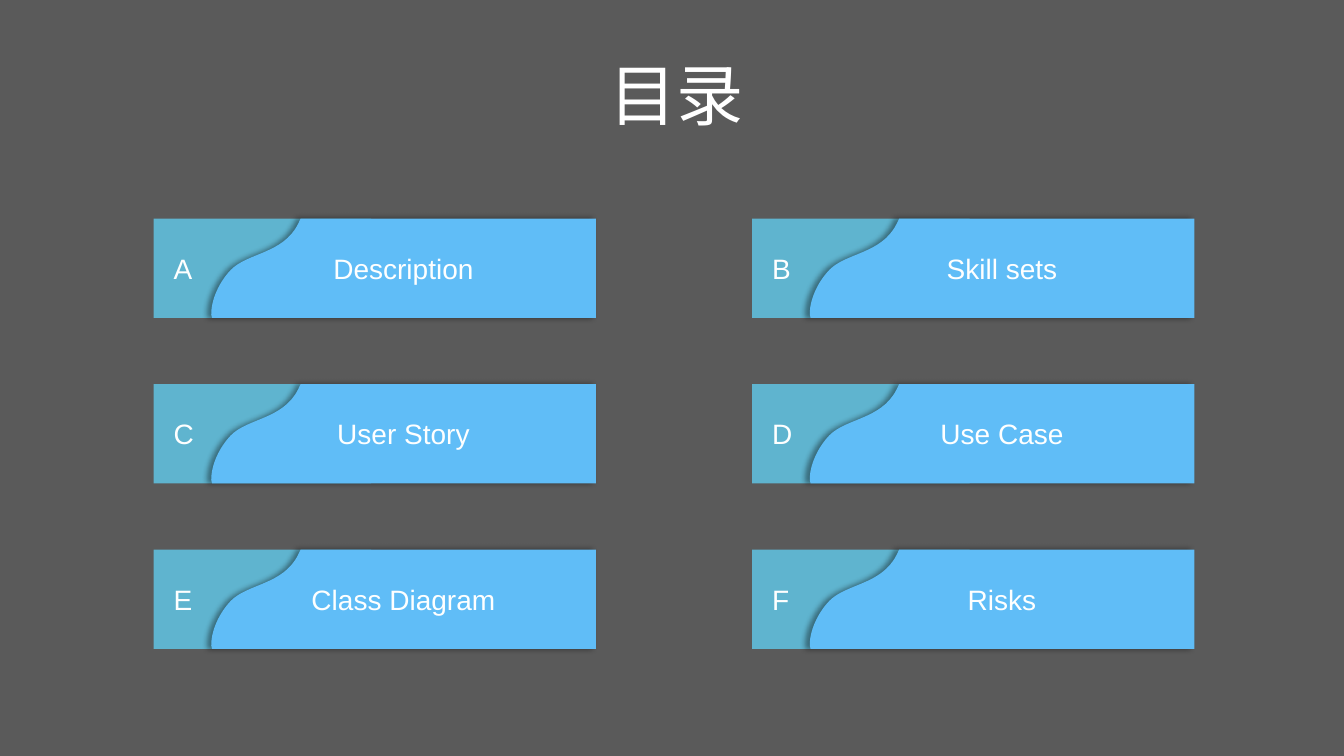
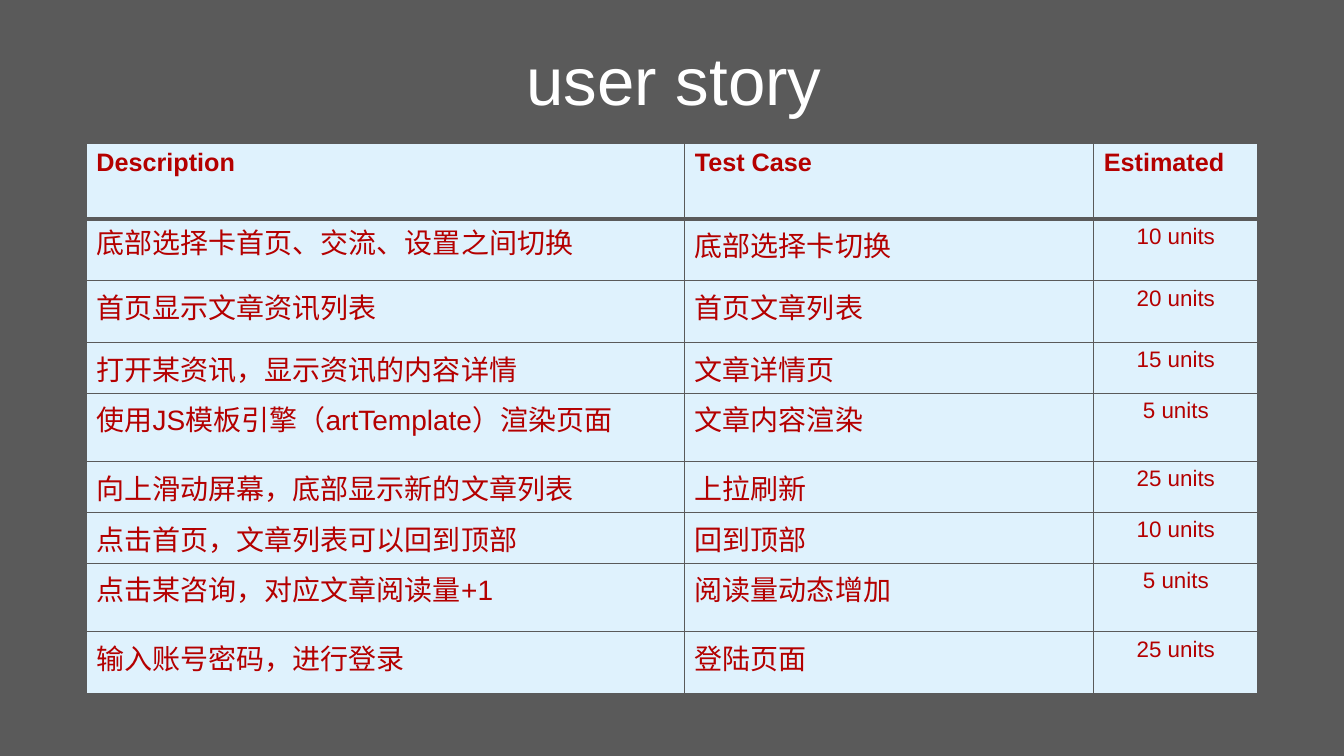
import lxml.etree
import pptx
import pptx.dml.color
import pptx.enum.shapes
import pptx.enum.text
import pptx.oxml.ns
import pptx.util

Pt = pptx.util.Pt
RGBColor = pptx.dml.color.RGBColor
ALIGN = pptx.enum.text.PP_ALIGN
MIDDLE = pptx.enum.text.MSO_ANCHOR.MIDDLE
qn = pptx.oxml.ns.qn

# Colours
GREY = RGBColor(0x5A, 0x5A, 0x5A)
WHITE = RGBColor(0xFF, 0xFF, 0xFF)
OFF_WHITE = RGBColor(0xFE, 0xFF, 0xFF)
TEAL = RGBColor(0x5F, 0xB4, 0xCF)
SKY = RGBColor(0x60, 0xBD, 0xF7)
PALE_BLUE = RGBColor(0xDF, 0xF2, 0xFD)
RED = RGBColor(0xB4, 0x00, 0x00)
BLACK = RGBColor(0x00, 0x00, 0x00)

# Font formats
TITLE_FONT = {"name": "Arial", "size": Pt(48), "bold": False}
CARD_FONT = {"name": "Arial", "size": Pt(20), "bold": False}
HEADER_FONT = {"name": "Arial", "size": Pt(18), "bold": True}
STORY_FONT = {"name": "Arial", "size": Pt(20), "bold": False}
ESTIMATE_FONT = {"name": "Arial", "size": Pt(16), "bold": False}

# Contents cards, in points; the outline is relative to the card's corner
CARD_LEFT, CARD_TOP = 109.7, 156.1
CARD_STEP_X, CARD_STEP_Y = 427.5, 118.2
TAB_WIDTH, CARD_HEIGHT = 155.5, 71
PANEL_CORNERS = [(105.1, 0), (316, 0), (316, 71), (41.8, 71), (41.2, 68.5)]
# Two Bezier curves: two control points and an end point each
PANEL_CURVES = [(41, 58.3), (46.8, 45.4), (55.2, 36.7),
                (67, 24.5), (92.2, 25.2), (103, 4.3)]
TOPICS = ["Description", "Skill sets", "User Story",
          "Use Case", "Class Diagram", "Risks"]

# User story table
COLUMN_WIDTHS = [427.4, 292.2, 117.2]
ROW_HEIGHTS = [54, 44, 44, 32.4, 49, 32.4, 32.4, 49, 44]
HEADERS = ["Description", "Test Case", "Estimated"]
STORIES = [
    ("底部选择卡首页、交流、设置之间切换", "底部选择卡切换", "10 units"),
    ("首页显示文章资讯列表", "首页文章列表", "20 units"),
    ("打开某资讯，显示资讯的内容详情", "文章详情页", "15 units"),
    ("使用JS模板引擎（artTemplate）渲染页面", "文章内容渲染", "5 units"),
    ("向上滑动屏幕，底部显示新的文章列表", "上拉刷新", "25 units"),
    ("点击首页，文章列表可以回到顶部", "回到顶部", "10 units"),
    ("点击某咨询，对应文章阅读量+1", "阅读量动态增加", "5 units"),
    ("输入账号密码，进行登录", "登陆页面", "25 units"),
]


def write(frame, text, font_format, color, align):
    """Fill a text frame with one formatted paragraph."""
    paragraph = frame.paragraphs[0]
    paragraph.alignment = align
    run = paragraph.add_run()
    run.text = text
    for attribute, value in font_format.items():
        setattr(run.font, attribute, value)
    run.font.color.rgb = color
    return paragraph


def add_titled_slide(deck, text, left, top, width, height):
    slide = deck.slides.add_slide(deck.slide_layouts[5])
    title = slide.shapes.title
    place = {"left": left, "top": top, "width": width, "height": height}
    for attribute, value in place.items():
        setattr(title, attribute, Pt(value))
    title.text_frame.auto_size = pptx.enum.text.MSO_AUTO_SIZE.NONE
    title.text_frame.vertical_anchor = MIDDLE
    write(title.text_frame, text, TITLE_FONT, WHITE, ALIGN.CENTER)
    return slide


def paint(shape, color):
    shape.shadow.inherit = False
    shape.fill.solid()
    shape.fill.fore_color.rgb = color
    shape.line.fill.background()
    shape.text_frame.vertical_anchor = MIDDLE


def cast_shadow(shape):
    """Soft shadow falling to the left."""
    effects = shape.element.spPr.find(qn("a:effectLst"))
    shadow = lxml.etree.SubElement(
        effects, qn("a:outerShdw"), blurRad=str(Pt(4)), dist=str(Pt(3)),
        dir=str(180 * 60000), algn="r", rotWithShape="0")
    color = lxml.etree.SubElement(shadow, qn("a:srgbClr"), val=str(BLACK))
    lxml.etree.SubElement(color, qn("a:alpha"), val="40000")


def bend(shape, first):
    """Join each three line segments, from number first on, into a curve."""
    segments = list(shape.element.iter(qn("a:lnTo")))[first:]
    for start in range(0, len(segments), 3):
        curve = lxml.etree.Element(qn("a:cubicBezTo"))
        segments[start].addprevious(curve)
        for segment in segments[start:start + 3]:
            curve.append(segment[0])
            segment.getparent().remove(segment)


def add_card(slide, left, top, letter, topic):
    card = slide.shapes.add_group_shape().shapes

    # Letter tab
    tab = card.add_shape(pptx.enum.shapes.MSO_SHAPE.RECTANGLE, Pt(left),
                         Pt(top), Pt(TAB_WIDTH), Pt(CARD_HEIGHT))
    paint(tab, TEAL)
    tab.text_frame.margin_left = Pt(14.4)
    write(tab.text_frame, letter, CARD_FONT, OFF_WHITE, ALIGN.LEFT)

    # Curved topic panel
    outline = [(Pt(left + x), Pt(top + y))
               for x, y in PANEL_CORNERS + PANEL_CURVES]
    builder = card.build_freeform(*outline[0])
    builder.add_line_segments(outline[1:], close=True)
    panel = builder.convert_to_shape()
    bend(panel, len(PANEL_CORNERS) - 1)
    paint(panel, SKY)
    cast_shadow(panel)
    write(panel.text_frame, topic, CARD_FONT, OFF_WHITE, ALIGN.CENTER)


def set_borders(cell, top, bottom):
    """Draw the four cell borders; only top and bottom widths vary."""
    properties = cell._tc.get_or_add_tcPr()
    for side, width in (("L", 1), ("R", 1), ("T", top), ("B", bottom)):
        border = lxml.etree.SubElement(
            properties, qn("a:ln" + side), w=str(Pt(width)))
        fill = lxml.etree.SubElement(border, qn("a:solidFill"))
        lxml.etree.SubElement(fill, qn("a:srgbClr"), val=str(GREY))


def add_story_table(slide, left, top):
    table = slide.shapes.add_table(
        len(ROW_HEIGHTS), len(COLUMN_WIDTHS), Pt(left), Pt(top),
        Pt(sum(COLUMN_WIDTHS)), Pt(sum(ROW_HEIGHTS))).table
    table.horz_banding = False
    for column, width in zip(table.columns, COLUMN_WIDTHS):
        column.width = Pt(width)
    for row, height in zip(table.rows, ROW_HEIGHTS):
        row.height = Pt(height)

    for row_index, texts in enumerate([HEADERS] + STORIES):
        for column_index, text in enumerate(texts):
            cell = table.cell(row_index, column_index)
            set_borders(cell, top=3 if row_index == 1 else 1,
                        bottom=3 if row_index == 0 else 1)
            cell.fill.solid()
            cell.fill.fore_color.rgb = PALE_BLUE
            font_format, align = STORY_FONT, ALIGN.LEFT
            if row_index == 0:
                font_format = HEADER_FONT
            elif column_index == 2:
                font_format, align = ESTIMATE_FONT, ALIGN.CENTER
            write(cell.text_frame, text, font_format, RED, align)

    # The first story is set a little tighter
    first_story = table.cell(1, 0).text_frame.paragraphs[0]
    first_story.line_spacing = 0.9
    first_story.space_before = Pt(10)


def main():
    deck = pptx.Presentation()
    deck.slide_width, deck.slide_height = Pt(960), Pt(540)
    background = deck.slide_master.background.fill
    background.solid()
    background.fore_color.rgb = GREY

    # Contents
    contents = add_titled_slide(deck, "目录", 388, 31.4, 190, 71.2)
    for index, topic in enumerate(TOPICS):
        row, column = divmod(index, 2)
        add_card(contents, CARD_LEFT + column * CARD_STEP_X,
                 CARD_TOP + row * CARD_STEP_Y, "ABCDEF"[index], topic)

    # User stories
    stories = add_titled_slide(deck, "user story", 259, 20, 445, 72)
    add_story_table(stories, 61.7, 102.6)

    deck.save("out.pptx")


main()
